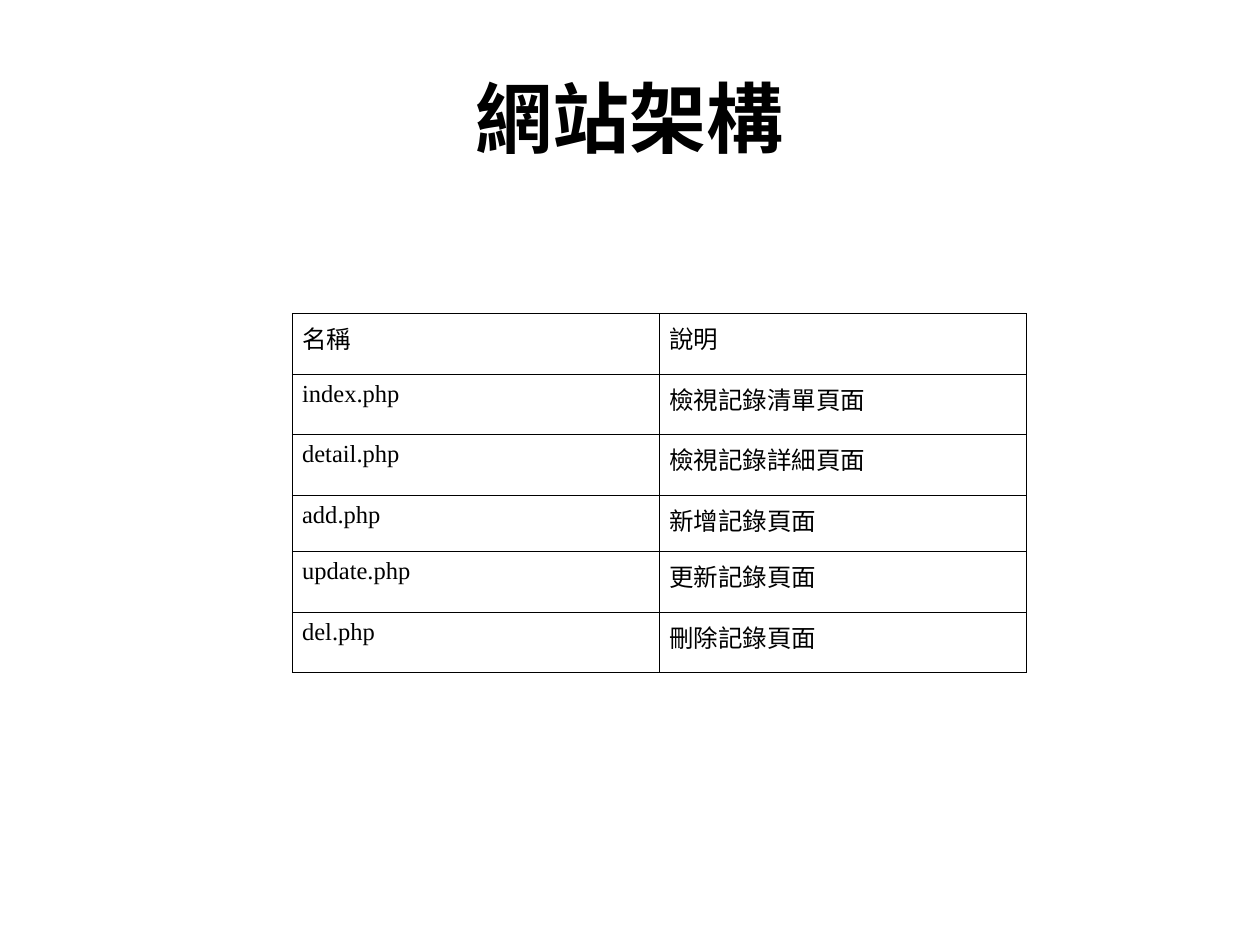
from dataclasses import dataclass

from lxml.etree import SubElement as Sub
from pptx import Presentation as Deck
from pptx.dml.color import RGBColor as Rgb
from pptx.enum.text import MSO_ANCHOR as Anchor, PP_ALIGN as Align
from pptx.oxml.ns import qn
from pptx.util import Cm, Pt

HUES = {"ink": "000000", "page": "FFFFFF"}
HEAD = {"name": "Arial", "size": Pt(44), "bold": True}
BODY = {"name": "Times New Roman", "size": Pt(14), "bold": False}
EDGE = Pt(0.45)


@dataclass
class Row:
    name: str
    note: str
    high: float = 1.22


ROWS = [
    Row("名稱", "說明"),
    Row("index.php", "檢視記錄清單頁面"),
    Row("detail.php", "檢視記錄詳細頁面"),
    Row("add.php", "新增記錄頁面", 1.14),
    Row("update.php", "更新記錄頁面"),
    Row("del.php", "刪除記錄頁面"),
]


def style(para, form: dict, align: Align) -> None:
    para.alignment = align
    for key, val in form.items():
        setattr(para.font, key, val)
    para.font.color.rgb = Rgb.from_string(HUES["ink"])


def frame(cell) -> None:
    props = cell._tc.get_or_add_tcPr()
    for side in ("lnL", "lnR", "lnT", "lnB"):
        line = Sub(props, qn(f"a:{side}"), w=str(int(EDGE)))
        fill = Sub(line, qn("a:solidFill"))
        Sub(fill, qn("a:srgbClr"), val=HUES["ink"])


def put(cell, text: str) -> None:
    cell.text = text
    style(cell.text_frame.paragraphs[0], BODY, Align.LEFT)
    pads = {"margin_left": Cm(0.2), "margin_right": Cm(0.2),
            "margin_top": Cm(0.13), "margin_bottom": Cm(0.13),
            "vertical_anchor": Anchor.TOP}
    for key, val in pads.items():
        setattr(cell, key, val)
    frame(cell)
    cell.fill.background()


def add_title(slide, text: str) -> None:
    title = slide.shapes.title
    place = {"left": Cm(1.27), "top": Cm(0.76),
             "width": Cm(22.86), "height": Cm(3.18)}
    for key, val in place.items():
        setattr(title, key, val)
    title.text_frame.text = text
    title.text_frame.vertical_anchor = Anchor.MIDDLE
    style(title.text_frame.paragraphs[0], HEAD, Align.CENTER)


def add_grid(slide, rows: list[Row]) -> None:
    high = Cm(sum(row.high for row in rows))
    grid = slide.shapes.add_table(
        len(rows), 2, Cm(5.89), Cm(6.32), Cm(14.8), high).table
    grid.first_row = grid.horz_banding = False
    for line, row in zip(grid.rows, rows):
        line.height = Cm(row.high)
        for cell, text in zip(line.cells, (row.name, row.note)):
            put(cell, text)


def main() -> None:
    deck = Deck()
    deck.slide_width, deck.slide_height = Cm(25.4), Cm(19.05)
    slide = deck.slides.add_slide(deck.slide_layouts[5])
    slide.background.fill.solid()
    slide.background.fill.fore_color.rgb = Rgb.from_string(HUES["page"])
    add_title(slide, "網站架構")
    add_grid(slide, ROWS)
    deck.save("out.pptx")


if __name__ == "__main__":
    main()
